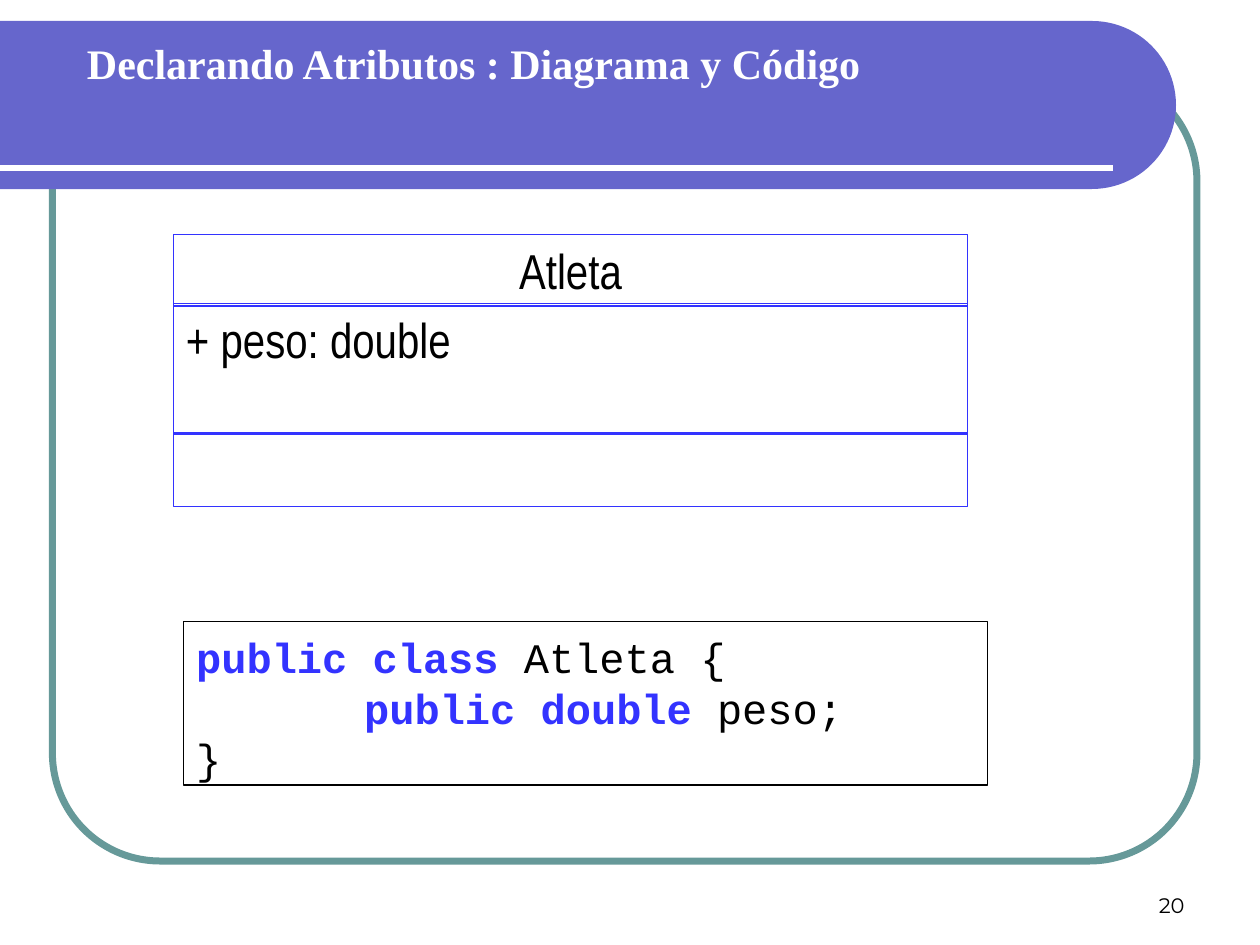
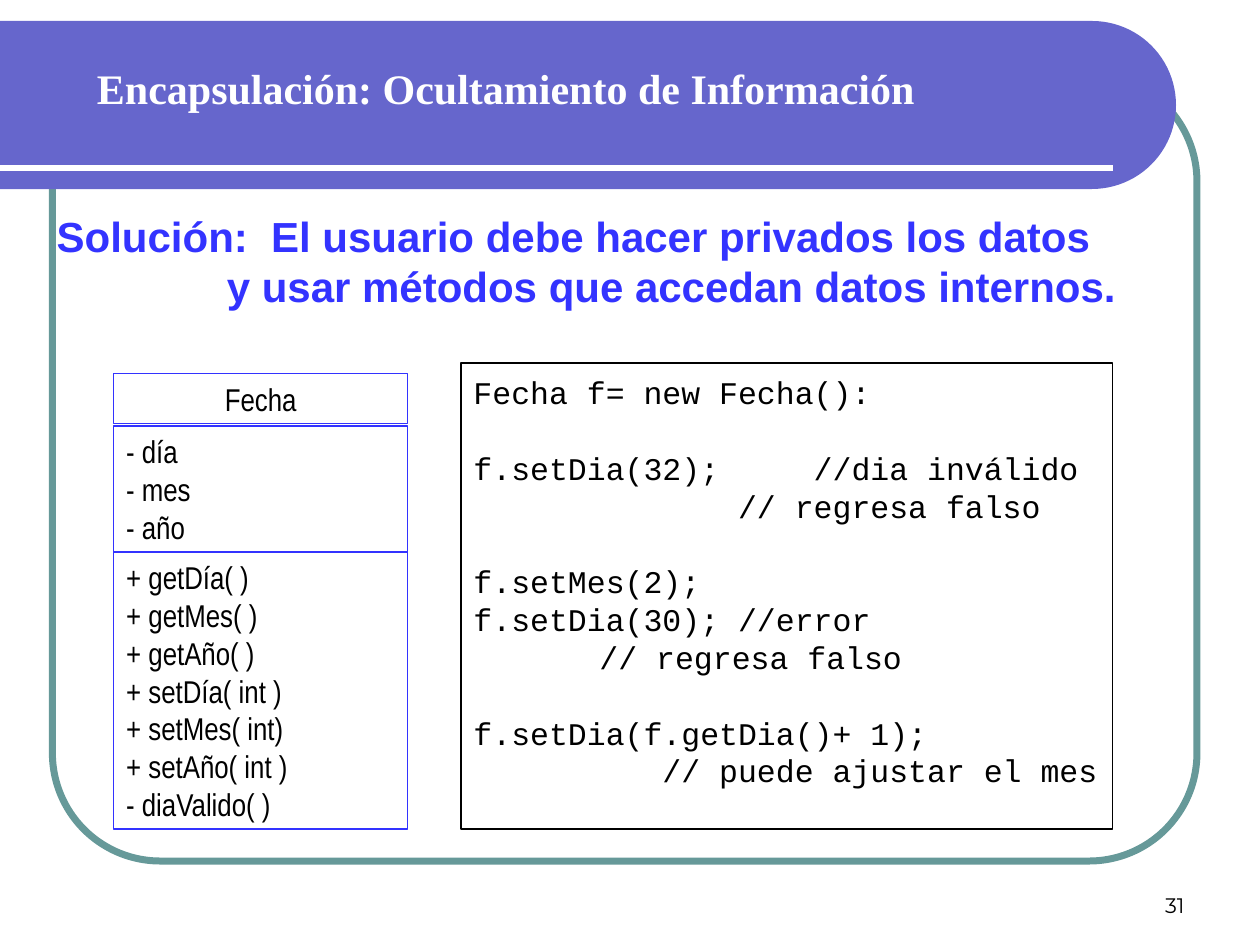
from math import cos, pi, sin

from lxml.etree import SubElement
from pptx import Presentation
from pptx.dml.color import RGBColor
from pptx.enum.shapes import MSO_CONNECTOR, MSO_SHAPE
from pptx.enum.text import MSO_ANCHOR, MSO_AUTO_SIZE, PP_ALIGN
from pptx.oxml.ns import qn
from pptx.util import Pt

BLACK = RGBColor(0x00, 0x00, 0x00)
WHITE = RGBColor(0xFF, 0xFF, 0xFF)
BLUE = RGBColor(0x33, 0x33, 0xFF)
VIOLET = RGBColor(0x66, 0x66, 0xCC)
TEAL = RGBColor(0x66, 0x99, 0x99)

TITLE_FONT = "Times New Roman"
BODY_FONT = "Arial"
CLASS_FONT = "Arial Narrow"
CODE_FONT = "Courier New"
NUMBER_FONT = "Montserrat"

SLIDES = [
    {
        "title": "Declarando Atributos : Diagrama y Código",
        "title_box": (42.5, 18, 457, 36),
        "number": "20",
        "class_left": 99.2,
        "class_width": 453.6,
        "class_size": 28,
        "compartments": [
            (134, 41, ["Atleta"]),
            (173.5, 75, ["+ peso: double"]),
            (247.5, 41.8, []),
        ],
        "code_box": (105, 355, 459.4, 93.6),
        "code_size": 24,
        "code_indents": {1: 60},
        "code": [
            [
                [("public class", True), (" Atleta {", False)],
                [("\t", False), ("public double", True), (" peso;", False)],
                [("}", False)],
            ],
        ],
    },
    {
        "title": "Encapsulación: Ocultamiento de Información",
        "title_box": (48.2, 32, 494, 36),
        "number": "31",
        "statement": "Solución:  El usuario debe hacer privados los datos "
                     "y usar métodos que accedan datos internos.",
        "class_left": 65,
        "class_width": 168,
        "class_size": 18,
        "compartments": [
            (213.4, 28.8, ["Fecha"]),
            (243.4, 72, ["- día", "- mes", "- año"]),
            (315.4, 158.4, [
                "+ getDía( )", "+ getMes( )", "+ getAño( )", "+ setDía( int )",
                "+ setMes( int)", "+ setAño( int )", "- diaValido( )",
            ]),
        ],
        "code_box": (263.5, 207.4, 372.2, 266.4),
        "code_size": 18,
        "code_indents": {},
        "code": [
            [[("Fecha f= new Fecha():", False)]],
            [
                [("f.setDia(32);     //dia inválido", False)],
                [("              // regresa falso", False)],
            ],
            [
                [("f.setMes(2);", False)],
                [("f.setDia(30); //error", False)],
                [(" \t\t// regresa falso", False)],
            ],
            [
                [("f.setDia(f.getDia()+ 1);", False)],
                [("          // puede ajustar el mes", False)],
            ],
        ],
    },
]

STATEMENT_BOX = (25.2, 116.6, 623.5, 65)
STATEMENT_INDENT = 97.2
NUMBER_BOX = (516, 492, 168, 36)
FRAME_BOX = (30, 42, 654, 450)
BAND_TOP, BAND_RADIUS, BAND_CENTER = 12, 48, 624
RULE_Y, RULE_END = 96, 636
TAB_STEP = 72
TAB_COUNT = 7
LINE_FACTOR = 1.2
CODE_TOP_INSET = 6


def in_points(box):
    return [Pt(value) for value in box]


def place(shape, box):
    shape.left, shape.top, shape.width, shape.height = in_points(box)


def set_up_text(shape, wrap=True, anchor=MSO_ANCHOR.TOP, top=3.6):
    frame = shape.text_frame
    frame.word_wrap = wrap
    frame.auto_size = MSO_AUTO_SIZE.NONE
    frame.vertical_anchor = anchor
    frame.margin_left = frame.margin_right = Pt(7.2)
    frame.margin_top, frame.margin_bottom = Pt(top), Pt(3.6)
    return frame


def style(paragraph, font, size, color=BLACK, bold=False, align=PP_ALIGN.LEFT, before=0):
    paragraph.alignment = align
    paragraph.line_spacing = Pt(size * LINE_FACTOR)
    paragraph.space_before = Pt(before)
    paragraph.font.name = font
    paragraph.font.size = Pt(size)
    paragraph.font.bold = bold
    paragraph.font.color.rgb = color


def set_indent(paragraph, left, first=0):
    properties = paragraph._p.get_or_add_pPr()
    properties.set("marL", str(Pt(left)))
    properties.set("indent", str(Pt(first)))
    return properties


def next_paragraph(frame, index):
    return frame.paragraphs[0] if index == 0 else frame.add_paragraph()


def add_box(slide, box, line_color, line_width=0.75, kind=MSO_SHAPE.RECTANGLE):
    shape = slide.shapes.add_shape(kind, *in_points(box))
    shape.shadow.inherit = False
    shape.fill.background()
    shape.line.color.rgb = line_color
    shape.line.width = Pt(line_width)
    return shape


def add_background(slide):
    frame = add_box(slide, FRAME_BOX, TEAL, 4, MSO_SHAPE.ROUNDED_RECTANGLE)
    frame.adjustments[0] = 0.137

    center_y = BAND_TOP + BAND_RADIUS
    angles = [-pi / 2 + pi * step / 48 for step in range(49)]
    curve = [(BAND_CENTER + BAND_RADIUS * cos(angle), center_y + BAND_RADIUS * sin(angle))
             for angle in angles]
    outline = curve + [(0, BAND_TOP + 2 * BAND_RADIUS)]
    builder = slide.shapes.build_freeform(0, Pt(BAND_TOP))
    builder.add_line_segments([(Pt(x), Pt(y)) for x, y in outline], close=True)
    band = builder.convert_to_shape()
    band.shadow.inherit = False
    band.fill.solid()
    band.fill.fore_color.rgb = VIOLET
    band.line.fill.background()

    rule = slide.shapes.add_connector(
        MSO_CONNECTOR.STRAIGHT, 0, Pt(RULE_Y), Pt(RULE_END), Pt(RULE_Y))
    rule.line.color.rgb = WHITE
    rule.line.width = Pt(3)
    SubElement(rule._element.spPr, qn("a:effectLst"))


def bring_to_front(shape):
    element = shape.element
    element.getparent().append(element)


def add_title(slide, text, box):
    title = slide.shapes.title
    bring_to_front(title)
    place(title, box)
    frame = set_up_text(title, wrap=False)
    frame.text = text
    style(frame.paragraphs[0], TITLE_FONT, 24, WHITE, True)


def add_number(slide, number):
    frame = set_up_text(slide.shapes.add_textbox(*in_points(NUMBER_BOX)),
                        anchor=MSO_ANCHOR.BOTTOM)
    frame.text = number
    style(frame.paragraphs[0], NUMBER_FONT, 12, align=PP_ALIGN.RIGHT)


def add_statement(slide, text):
    body = slide.placeholders[1]
    bring_to_front(body)
    place(body, STATEMENT_BOX)
    frame = set_up_text(body)
    frame.text = text
    paragraph = frame.paragraphs[0]
    properties = set_indent(paragraph, STATEMENT_INDENT, -STATEMENT_INDENT)
    SubElement(properties, qn("a:buNone"))
    style(paragraph, BODY_FONT, 24, BLUE, True)


def add_class_diagram(slide, content):
    for row, (top, height, lines) in enumerate(content["compartments"]):
        box = (content["class_left"], top, content["class_width"], height)
        frame = set_up_text(add_box(slide, box, BLUE))
        align = PP_ALIGN.CENTER if row == 0 else PP_ALIGN.LEFT
        for index, line in enumerate(lines):
            paragraph = next_paragraph(frame, index)
            paragraph.text = line
            style(paragraph, CLASS_FONT, content["class_size"], align=align)


def add_code(slide, content):
    size = content["code_size"]
    frame = set_up_text(add_box(slide, content["code_box"], BLACK), top=CODE_TOP_INSET)
    lines = [(runs, block > 0 and position == 0)
             for block, block_lines in enumerate(content["code"])
             for position, runs in enumerate(block_lines)]
    for index, (runs, starts_block) in enumerate(lines):
        paragraph = next_paragraph(frame, index)
        properties = set_indent(paragraph, content["code_indents"].get(index, 0))
        tabs = SubElement(properties, qn("a:tabLst"))
        for stop in range(1, TAB_COUNT + 1):
            SubElement(tabs, qn("a:tab"), pos=str(Pt(TAB_STEP * stop)), algn="l")
        style(paragraph, CODE_FONT, size, before=size * LINE_FACTOR if starts_block else 0)
        for text, is_keyword in runs:
            run = paragraph.add_run()
            run.text = text
            if is_keyword:
                run.font.bold = True
                run.font.color.rgb = BLUE


def main():
    presentation = Presentation()
    presentation.slide_width, presentation.slide_height = Pt(720), Pt(540)
    title_and_body, title_only = presentation.slide_layouts[1], presentation.slide_layouts[5]
    for content in SLIDES:
        layout = title_and_body if "statement" in content else title_only
        slide = presentation.slides.add_slide(layout)
        add_background(slide)
        add_title(slide, content["title"], content["title_box"])
        add_number(slide, content["number"])
        if "statement" in content:
            add_statement(slide, content["statement"])
        add_class_diagram(slide, content)
        add_code(slide, content)
    presentation.save("out.pptx")


if __name__ == "__main__":
    main()
